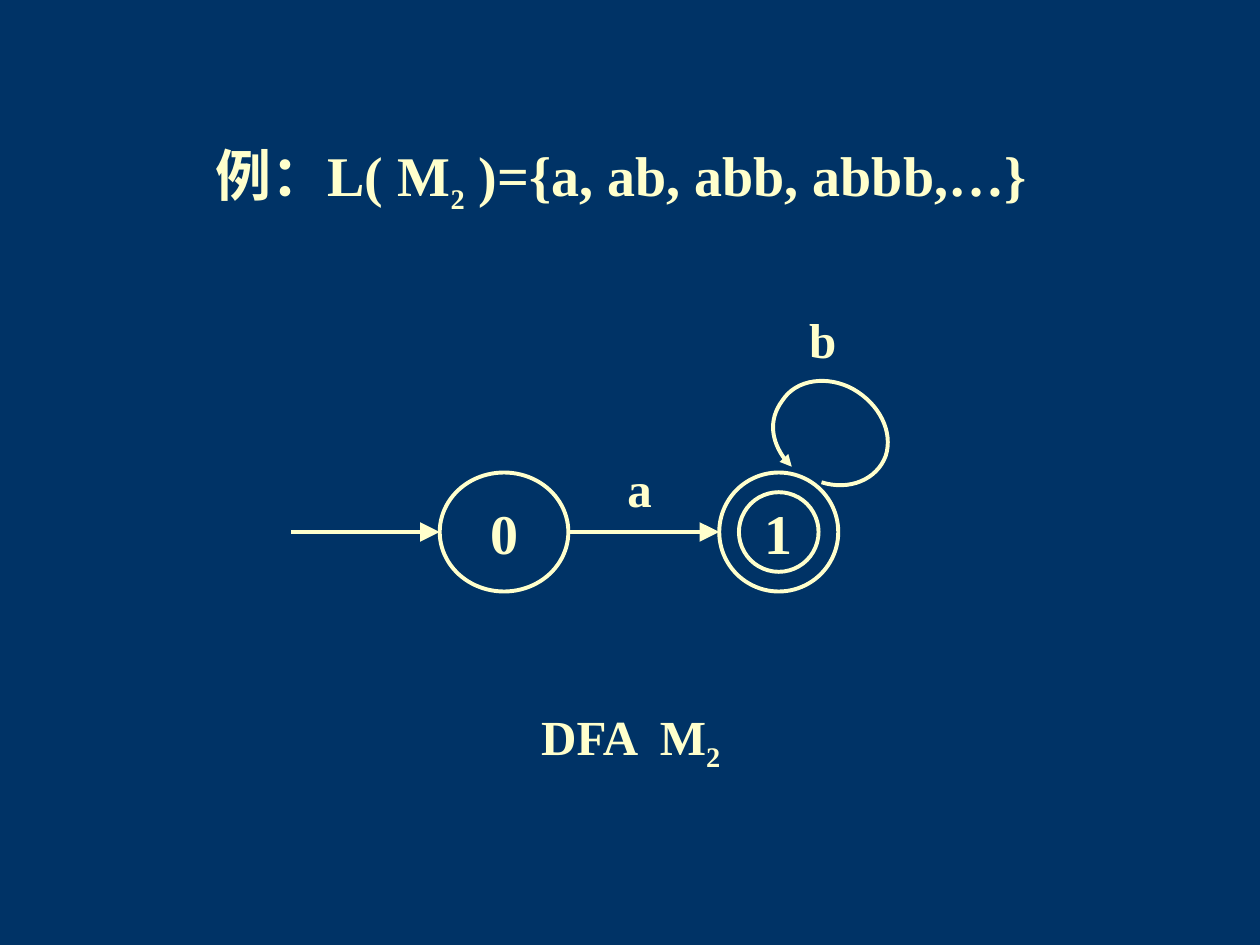
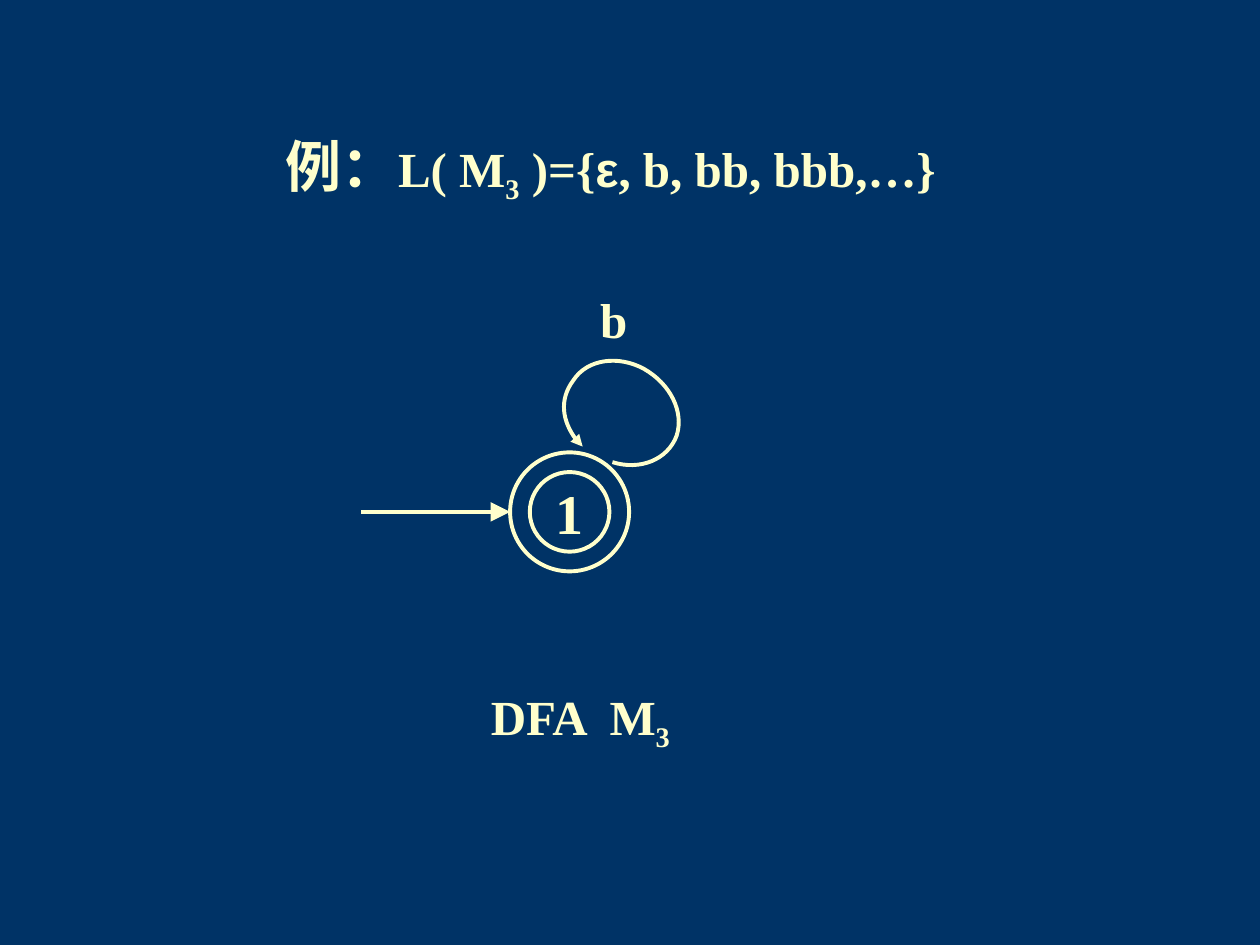
from lxml import etree
from pptx import Presentation
from pptx import util as u
from pptx.dml.color import RGBColor
from pptx.enum import shapes, text
from pptx.oxml.ns import qn

Pt = u.Pt
NAVY = RGBColor(0x00, 0x33, 0x66)
CREAM = RGBColor(0xFF, 0xFF, 0xCC)
SERIF = "Times New Roman"
LEFT, CENTER = text.PP_ALIGN.LEFT, text.PP_ALIGN.CENTER

# Content: text runs are (words, size, extra format); states are (name, centre x, width, accepting)
SUB = {"sub": True}
DFAS = [
    {
        "title": [("例：L( M", 32, {}), ("2", 28, SUB), (" )={a, ab, abb, abbb,…}", 32, {})],
        "title_box": (116, 77, 538.5, 49.5),
        "title_align": LEFT,
        "caption": [("DFA  M", 28, {}), ("2", 28, SUB)],
        "caption_x": 360.4,
        "axis_y": 304,
        "states": [("0", 288, 73.5, False), ("1", 445, 68, True)],
        "entry": None,
        "step": "a",
        "loop": "b",
    },
    {
        "title": [("例：", 32, {}), ("L( M", 28, {}), ("3", 28, SUB), (" )={", 28, {}),
                  ("ε", 28, {"name": "Arial"}), (", b, bb, bbb,…}", 28, {})],
        "title_box": (60, 71.5, 578, 101),
        "title_align": CENTER,
        "caption": [("DFA  M", 28, {}), ("3", 28, SUB)],
        "caption_x": 331.6,
        "axis_y": 292.5,
        "states": [("1", 325.5, 68, True)],
        "entry": None,
        "step": "a",
        "loop": "b",
    },
]

# Diagram measures, in points
STATE_HEIGHT, RING, ARROW = 68, 45.5, 85
LINE_WIDTH = 2.25
# Bezier points of the self-loop, measured from the state's centre
LOOP = [(24.5, -28.4),
        (40.3, -23.4), (56.2, -29.9), (61.2, -43.6),
        (65.5, -57.2), (57.6, -73.1), (42.5, -81.7),
        (28.1, -89.6), (10.1, -87.5), (2.2, -75.2),
        (-6.5, -63.7), (-2.9, -46.4), (7.5, -37.3)]


def write(slide, runs, box, align=CENTER):
    frame = slide.shapes.add_textbox(*map(Pt, box)).text_frame
    frame.word_wrap = True
    line = frame.paragraphs[0]
    line.alignment = align
    for words, size, extra in runs:
        run = line.add_run()
        run.text = words
        run.font.color.rgb = CREAM
        style = {"name": SERIF, "size": Pt(size), "bold": True, **extra}
        if style.pop("sub", False):
            run._r.get_or_add_rPr().set("baseline", "-25000")
        for key, value in style.items():
            setattr(run.font, key, value)


def write_label(slide, words, size, x, top, width):
    write(slide, [(words, size, {})], (x - width / 2, top, width, size * 1.2 + 7.2))


def draw_outline(part, head=None):
    part.line.color.rgb = CREAM
    part.line.width = Pt(LINE_WIDTH)
    if head:
        etree.SubElement(part.line._get_or_add_ln(), qn("a:tailEnd"),
                         type="triangle", w=head, len=head)


def draw_ellipse(slide, x, y, width, height):
    ellipse = slide.shapes.add_shape(
        shapes.MSO_SHAPE.OVAL, Pt(x - width / 2), Pt(y - height / 2), Pt(width), Pt(height))
    ellipse.shadow.inherit = False
    ellipse.fill.background()
    draw_outline(ellipse)


def draw_arrow(slide, tip, y):
    arrow = slide.shapes.add_connector(
        shapes.MSO_CONNECTOR.STRAIGHT, Pt(tip - ARROW), Pt(y), Pt(tip), Pt(y))
    draw_outline(arrow, "lg")
    etree.SubElement(arrow._element.spPr, qn("a:effectLst"))


def draw_loop(slide, x, y):
    points = [(Pt(x + dx), Pt(y + dy)) for dx, dy in LOOP]
    builder = slide.shapes.build_freeform(*points[0])
    builder.add_line_segments(points[1:], close=False)
    loop = builder.convert_to_shape()
    loop.shadow.inherit = False
    loop.fill.background()
    draw_outline(loop, "med")
    # Turn every three straight segments into one Bezier curve
    segments = list(loop._element.iter(qn("a:lnTo")))
    outline = segments[0].getparent()
    for i in range(0, len(segments), 3):
        curve = etree.SubElement(outline, qn("a:cubicBezTo"))
        for segment in segments[i:i + 3]:
            curve.append(segment[0])
            outline.remove(segment)


def build_slide(deck, dfa):
    slide = deck.slides.add_slide(deck.slide_layouts[6])
    slide.background.fill.solid()
    slide.background.fill.fore_color.rgb = NAVY
    y = dfa["axis_y"]

    # Title and caption
    write(slide, dfa["title"], dfa["title_box"], dfa["title_align"])
    write(slide, dfa["caption"], (dfa["caption_x"] - 74, y + 96.3, 148, 45))

    # States, each with the arrow that leads into it
    for order, (name, x, width, accepting) in enumerate(dfa["states"]):
        tip = x - width / 2
        draw_ellipse(slide, x, y, width, STATE_HEIGHT)
        write_label(slide, name, 32, x, y - 22.5, width)
        draw_arrow(slide, tip, y)
        if order:
            write_label(slide, dfa["step"], 28, tip - 45.5, y - 45.5, 57)
        if accepting:
            draw_ellipse(slide, x, y, RING, RING)
            draw_loop(slide, x, y)
            write_label(slide, dfa["loop"], 28, x + 25.2, y - 130.5, 96.5)


def main():
    deck = Presentation()
    deck.slide_width, deck.slide_height = Pt(720), Pt(540)
    for dfa in DFAS:
        build_slide(deck, dfa)
    deck.save("out.pptx")


if __name__ == "__main__":
    main()
